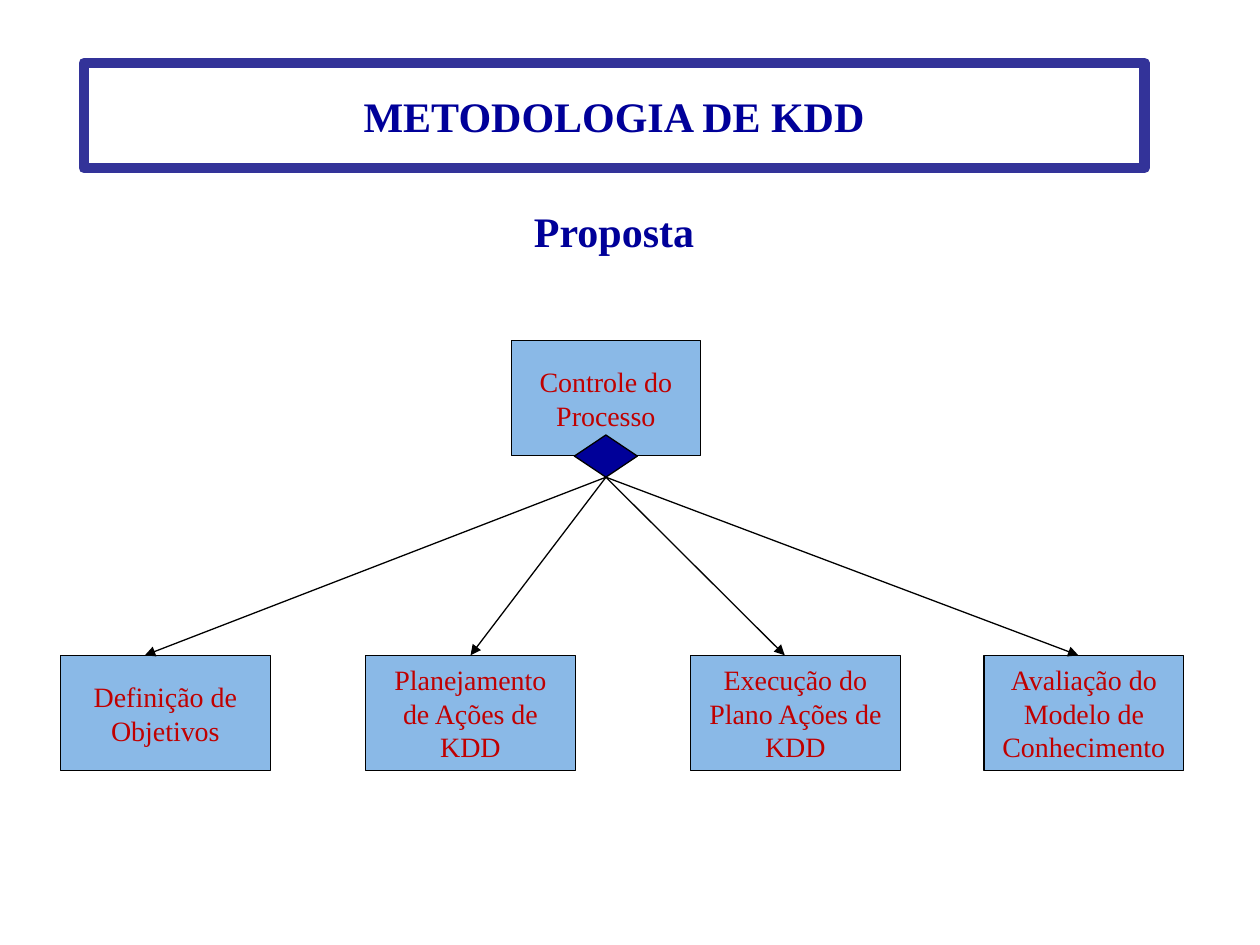
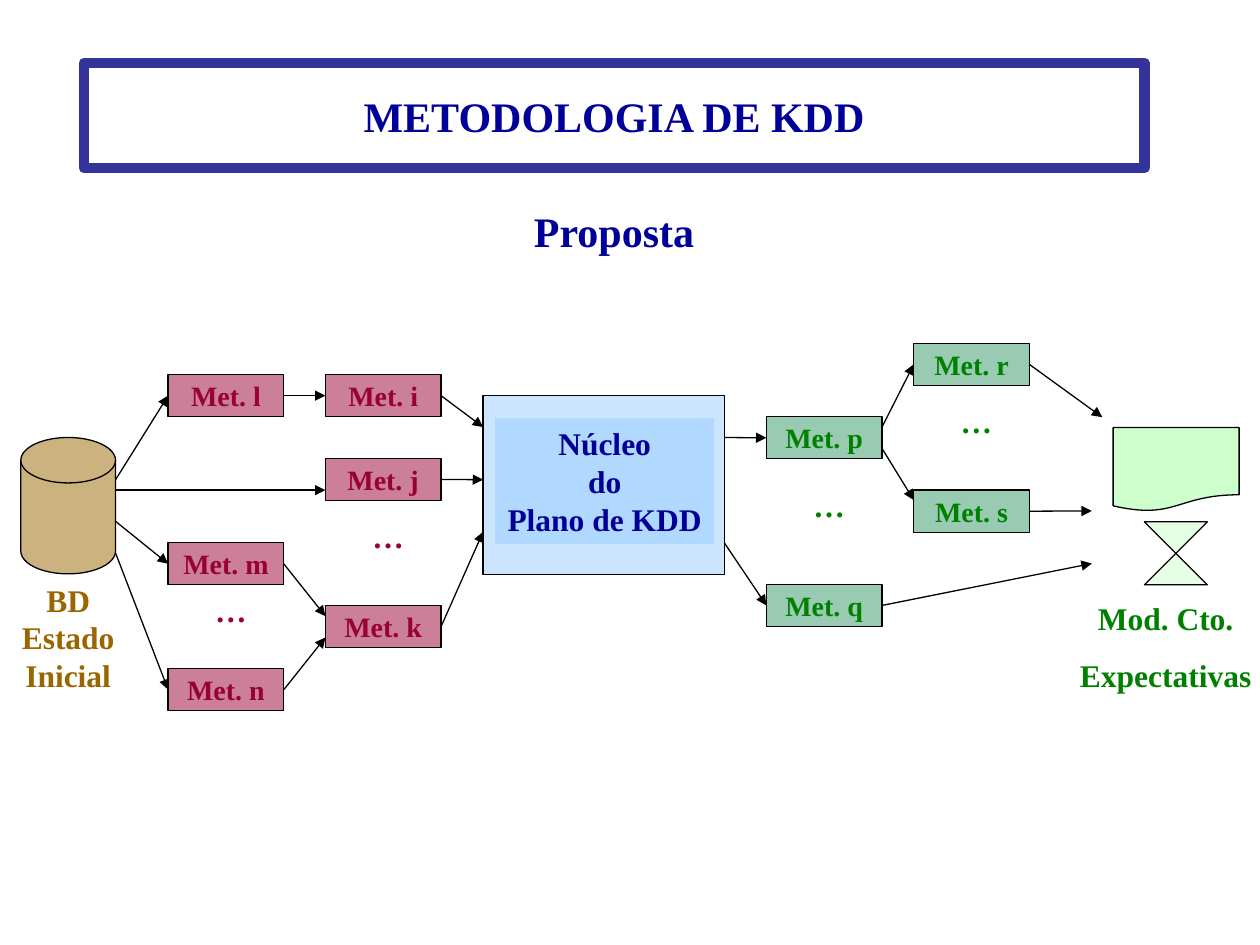
"""Build the two KDD methodology slides: process control and plan flow."""
from dataclasses import dataclass
from typing import NamedTuple, Optional, Union

from lxml.etree import SubElement
from pptx import Presentation
from pptx.dml.color import RGBColor
from pptx.enum.shapes import MSO_CONNECTOR, MSO_SHAPE
from pptx.enum.text import MSO_ANCHOR, MSO_AUTO_SIZE, PP_ALIGN
from pptx.oxml.ns import qn
from pptx.shapes.base import BaseShape
from pptx.slide import Slide
from pptx.util import Cm, Pt

COLORS = {
    "navy": "000099", "frame": "333399", "black": "000000",
    "sky": "8AB9E7", "red": "C00000", "wine": "990033",
    "sea": "339966", "green": "008000", "ice": "99CCFF",
    "brown": "996600", "mint": "CCFFCC",
}
FONTS = {
    "heading": {"name": "Times New Roman", "size": Pt(24), "bold": True},
    "step": {"name": "Times New Roman", "size": Pt(16), "bold": False},
    "method": {"name": "Times New Roman", "size": Pt(16), "bold": True},
    "label": {"name": "Times New Roman", "size": Pt(18), "bold": True},
}
SHAPE_FRAME = {"word_wrap": True, "vertical_anchor": MSO_ANCHOR.MIDDLE}
METHOD_FRAME = {"word_wrap": False, "vertical_anchor": MSO_ANCHOR.MIDDLE}
TEXT_FRAME = {"word_wrap": True, "vertical_anchor": MSO_ANCHOR.TOP,
              "auto_size": MSO_AUTO_SIZE.SHAPE_TO_FIT_TEXT}
CORE_FRAME = {**TEXT_FRAME, "word_wrap": False}
TOP, LEFT, BOTTOM, RIGHT = range(4)
METHOD_W, METHOD_H = 2.33, 0.85


class Point(NamedTuple):
    x: float
    y: float


class Side(NamedTuple):
    shape: BaseShape
    index: int


End = Union[Point, Side]


@dataclass
class Box:
    x: float
    y: float
    w: float
    h: float
    kind: Optional[MSO_SHAPE] = MSO_SHAPE.RECTANGLE
    fill: Optional[str] = None
    alpha: int = 100
    line: Optional[str] = "black"
    weight: float = 0.75
    text: str = ""
    font: str = "label"
    color: str = "navy"
    frame: Optional[dict] = None
    gap: float = 0


def rgb(name: str) -> RGBColor:
    return RGBColor.from_string(COLORS[name])


def apply(target: object, values: dict) -> None:
    for name, value in values.items():
        setattr(target, name, value)


def paint(sp: BaseShape, box: Box) -> None:
    sp.shadow.inherit = False
    if box.fill:
        sp.fill.solid()
        sp.fill.fore_color.rgb = rgb(box.fill)
        if box.alpha < 100:
            clr = sp.element.spPr.find(qn("a:solidFill")).find(qn("a:srgbClr"))
            SubElement(clr, qn("a:alpha")).set("val", str(box.alpha * 1000))
    else:
        sp.fill.background()
    if box.line:
        sp.line.color.rgb = rgb(box.line)
        sp.line.width = Pt(box.weight)
    else:
        sp.line.fill.background()


def write(sp: BaseShape, box: Box) -> None:
    tf = sp.text_frame
    apply(tf, box.frame or SHAPE_FRAME)
    for i, text in enumerate(box.text.split("\n")):
        p = tf.add_paragraph() if i else tf.paragraphs[0]
        p.alignment = PP_ALIGN.CENTER
        if i and box.gap:
            p.space_before = Pt(box.gap)
        r = p.add_run()
        r.text = text
        apply(r.font, FONTS[box.font])
        r.font.color.rgb = rgb(box.color)


def add_box(s: Slide, box: Box) -> BaseShape:
    bounds = [Cm(v) for v in (box.x, box.y, box.w, box.h)]
    if box.kind is None:
        sp = s.shapes.add_textbox(*bounds)
    else:
        sp = s.shapes.add_shape(box.kind, *bounds)
        paint(sp, box)
    if box.text:
        write(sp, box)
    return sp


def add_arrow(s: Slide, start: End, end: End) -> None:
    x1, y1 = start if isinstance(start, Point) else (0, 0)
    x2, y2 = end if isinstance(end, Point) else (0, 0)
    c = s.shapes.add_connector(MSO_CONNECTOR.STRAIGHT, Cm(x1), Cm(y1), Cm(x2), Cm(y2))
    if isinstance(start, Side):
        c.begin_connect(*start)
    if isinstance(end, Side):
        c.end_connect(*end)
    c.line.color.rgb = rgb("black")
    c.line.width = Pt(0.75)
    pr = c.element.spPr
    SubElement(pr.find(qn("a:ln")), qn("a:tailEnd")).set("type", "triangle")
    SubElement(pr, qn("a:effectLst"))


def new_slide(prs: Presentation) -> Slide:
    s = prs.slides.add_slide(prs.slide_layouts[6])
    add_box(s, Box(1.69, 1.27, 21.38, 2.12, line="frame", weight=6,
                   text="METODOLOGIA DE KDD", font="heading"))
    add_box(s, Box(1.69, 4.02, 21.38, 1.27, kind=None, text="Proposta",
                   font="heading", frame=TEXT_FRAME))
    return s


def add_step(s: Slide, x: float, y: float, w: float, text: str) -> BaseShape:
    return add_box(s, Box(x, y, w, 2.33, fill="sky", text=text, font="step", color="red"))


def build_control(prs: Presentation) -> None:
    s = new_slide(prs)
    step_y = 13.21
    steps = [add_step(s, x, step_y, w, text) for x, w, text in (
        (1.22, 4.23, "Definição de Objetivos"),
        (7.37, 4.23, "Planejamento de Ações de KDD"),
        (13.92, 4.23, "Execução do Plano Ações de KDD"),
        (19.84, 4.02, "Avaliação do Modelo de Conhecimento"),
    )]
    add_step(s, 10.31, 6.86, 3.81, "Controle do Processo")
    diamond = add_box(s, Box(11.58, 8.77, 1.27, 0.85,
                             kind=MSO_SHAPE.FLOWCHART_DECISION, fill="navy"))
    for end in (Point(2.92, step_y), Side(steps[1], TOP),
                Point(15.82, step_y), Point(21.74, step_y)):
        add_arrow(s, Side(diamond, BOTTOM), end)


def add_methods(s: Slide) -> dict[str, BaseShape]:
    methods = {}
    for x, fill, color, dots_y, tops in (
        (3.39, "wine", "wine", 11.78, {"l": 7.55, "m": 10.94, "n": 13.48}),
        (6.56, "wine", "wine", 10.3, {"i": 7.55, "j": 9.24, "k": 12.21}),
        (15.45, "sea", "green", 9.67, {"p": 8.4, "q": 11.78}),
        (18.42, "sea", "green", 7.97, {"r": 6.92, "s": 9.88}),
    ):
        for name, y in tops.items():
            methods[name] = add_box(s, Box(
                x, y, METHOD_W, METHOD_H, fill=fill, alpha=50, text=f"Met. {name}",
                font="method", color=color, frame=METHOD_FRAME))
        add_box(s, Box(x + 0.42, dots_y, 1.69, 1.02, kind=None, text="…",
                       color=color, frame=TEXT_FRAME))
    return methods


def build_flow(prs: Presentation) -> None:
    s = new_slide(prs)
    methods = add_methods(s)
    into = {name: Side(sp, LEFT) for name, sp in methods.items()}
    out = {name: Side(sp, RIGHT) for name, sp in methods.items()}
    base_x, core_x, core_end, k_x = 2.33, 9.74, 14.6, 6.56
    for start, end in (
        (Point(base_x, 9.67), into["l"]),
        (Point(base_x, 9.88), Point(k_x, 9.88)),
        (Point(base_x, 10.51), into["m"]),
        (Point(base_x, 11.15), into["n"]),
        (out["l"], into["i"]),
        (out["m"], Point(k_x, 12.42)),
        (out["n"], Point(k_x, 12.85)),
        (out["i"], Point(core_x, 8.61)),
        (out["j"], Point(core_x, 9.67)),
        (out["k"], Point(core_x, 10.72)),
        (Point(core_end, 8.82), into["p"]),
        (Point(core_end, 10.94), into["q"]),
        (Point(17.78, 8.61), into["r"]),
        (Point(17.78, 9.04), Point(18.42, 10.08)),
        (out["r"], Point(22.22, 8.41)),
        (out["s"], Point(22.01, 10.3)),
        (out["q"], Point(22.01, 11.36)),
    ):
        add_arrow(s, start, end)
    for box in (
        Box(core_x, 7.98, 4.87, 3.6, fill="ice", alpha=50),
        Box(9.98, 8.43, 4.42, 2.54, fill="ice", alpha=50, line=None,
            text="Núcleo\ndo\nPlano de KDD", frame=CORE_FRAME),
        Box(0.42, 8.82, 1.91, 2.75, kind=MSO_SHAPE.FLOWCHART_MAGNETIC_DISK,
            fill="brown", alpha=50),
        Box(23.07, 10.52, 1.27, 1.27, kind=MSO_SHAPE.FLOWCHART_COLLATE,
            fill="mint", alpha=50),
        Box(22.44, 8.62, 2.54, 1.69, kind=MSO_SHAPE.FLOWCHART_DOCUMENT, fill="mint"),
        Box(0, 11.58, 2.75, 2.54, kind=None, text="BD Estado Inicial",
            color="brown", frame=TEXT_FRAME),
        Box(21.49, 11.95, 4.02, 2.18, kind=None, text="Mod. Cto.\nExpectativas",
            color="green", frame=TEXT_FRAME, gap=11.2),
    ):
        add_box(s, box)


def main() -> None:
    prs = Presentation()
    prs.slide_width, prs.slide_height = Cm(25.4), Cm(19.05)
    build_control(prs)
    build_flow(prs)
    prs.save("out.pptx")


if __name__ == "__main__":
    main()
